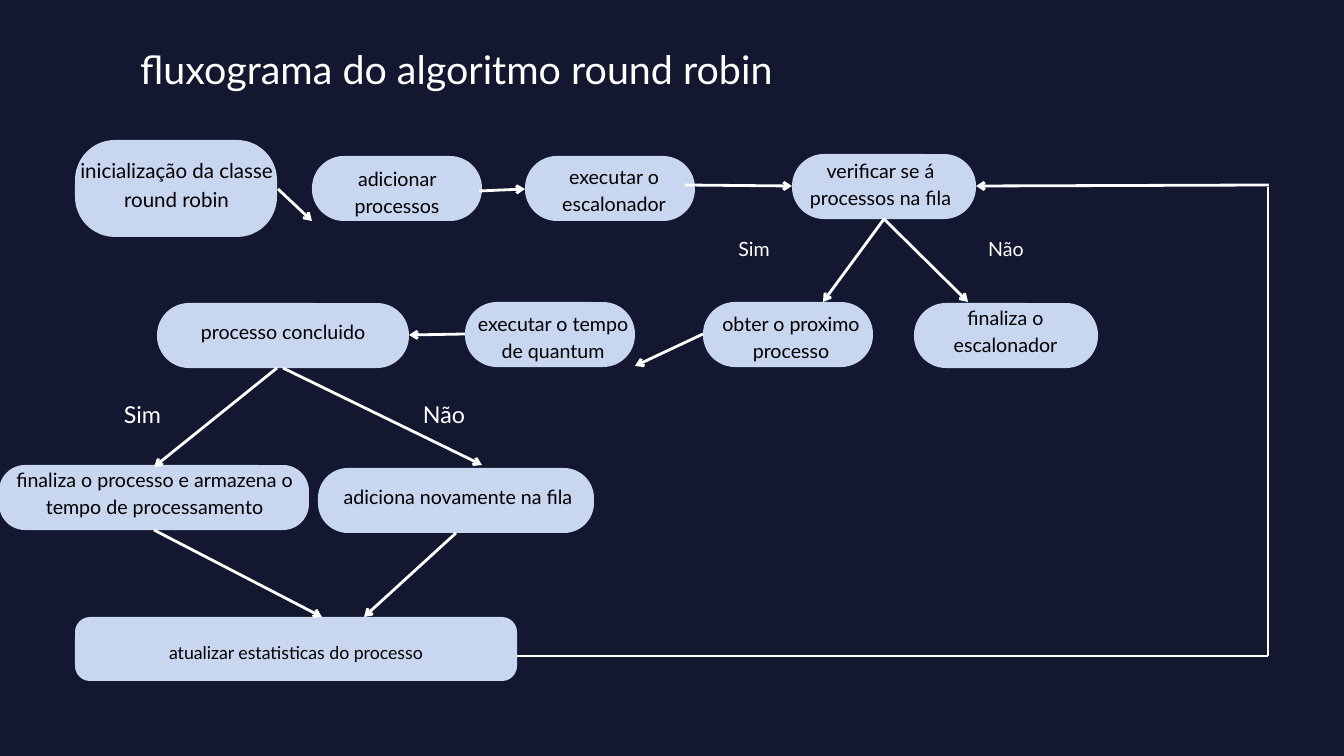
from pptx import Presentation
from pptx.dml.color import RGBColor
from pptx.enum.shapes import MSO_CONNECTOR as Connector, MSO_SHAPE as Shape
from pptx.enum.text import PP_ALIGN as Align
from pptx.oxml.ns import qn
from pptx.util import Pt
from lxml.etree import SubElement

SCALE = 914400 / 67.2
NAVY, PALE, WHITE, BLACK = "131830", "C9D6F0", "FFFFFF", "000000"
FONT = "Lato"
LEADING = 1.4

STEPS = [
    ("inicialização da classe round robin", (75, 140, 202, 97), 40, (79, 154, 195), 2, 22),
    ("adicionar processos", (312, 156, 170, 65), 32, (316, 163, 162), 2, 21),
    ("executar o escalonador", (525, 156, 170, 65), 32, (533, 161, 162), 2, 21),
    ("verificar se á processos na fila", (792, 154, 184, 65), 32, (792, 155, 177), 2, 21),
    ("obter o proximo processo", (703, 302, 170, 65), 32, (710, 308, 162), 2, 21),
    ("executar o tempo de quantum", (465, 302, 170, 65), 32, (472, 308, 162), 2, 21),
    ("processo concluido", (157, 303, 252, 65), 32, (161, 316, 244), 1, 21),
    ("adiciona novamente na fila", (318, 468, 276, 65), 30, (324, 481, 268), 1, 21),
    ("finaliza o processo e armazena o tempo de processamento",
     (-1, 465, 310, 65), 26, (3, 464, 303), 2, 21),
    ("finaliza o escalonador", (914, 303, 184, 65), 32, (917, 302, 177), 2, 21),
    ("atualizar estatisticas do processo", (75, 617, 442, 64), 15, (79, 638, 434), 1, 19),
]

LABELS = [
    ("fluxograma do algoritmo round robin", (89, 37, 735), 42.2),
    ("Sim", (737, 233, 34), 21),
    ("Não", (987, 233, 38), 21),
    ("Sim", (108, 396, 69), 24.9),
    ("Não", (405, 396, 78), 24.9),
]

RETURN_PATH = [
    ((517, 656), (1268, 656)),
    ((1268, 187), (1268, 656)),
]

ARROWS = [
    ((278, 189), (312, 221)),
    ((685, 185), (792, 186)),
    ((479, 191), (525, 189)),
    ((884, 219), (823, 302)),
    ((884, 219), (968, 302)),
    ((703, 334), (635, 366)),
    ((465, 334), (409, 335)),
    ((277, 368), (154, 467)),
    ((283, 368), (482, 465)),
    ((154, 530), (322, 617)),
    ((456, 533), (364, 617)),
    ((1269, 185), (976, 186)),
]


def px(*lengths):
    return [round(length * SCALE) for length in lengths]


def color(value):
    return RGBColor.from_string(value)


def apply(target, formats):
    for name, value in formats.items():
        setattr(target, name, value)


def add_text(shapes, text, place, size, ink, lines=1):
    height = lines * size * LEADING * 67.2 / 72
    frame = shapes.add_textbox(*px(*place, height)).text_frame
    apply(frame, {"word_wrap": True, "margin_left": 0, "margin_top": 0,
                  "margin_right": 0, "margin_bottom": 0})
    para = frame.paragraphs[0]
    apply(para, {"alignment": Align.CENTER, "line_spacing": Pt(size * LEADING)})
    span = para.add_run()
    span.text = text
    apply(span.font, {"name": FONT, "size": Pt(size)})
    span.font.color.rgb = color(ink)


def add_step(page, text, place, radius, text_place, lines, size):
    group = page.shapes.add_group_shape()
    box = group.shapes.add_shape(Shape.ROUNDED_RECTANGLE, *px(*place))
    box.adjustments[0] = radius / min(place[2:])
    box.shadow.inherit = False
    box.fill.solid()
    box.fill.fore_color.rgb = color(PALE)
    box.line.fill.background()
    add_text(group.shapes, text, text_place, size, BLACK, lines)


def add_line(page, start, end, arrow):
    line = page.shapes.add_connector(Connector.STRAIGHT, *px(*start, *end))
    line.line.width = Pt(3)
    line.line.color.rgb = color(WHITE)
    if arrow:
        SubElement(line.line._get_or_add_ln(), qn("a:tailEnd"), type="arrow")
    SubElement(line._element.spPr, qn("a:effectLst"))


def main():
    deck = Presentation()
    deck.slide_width, deck.slide_height = px(1344, 756)
    page = deck.slides.add_slide(deck.slide_layouts[6])
    page.background.fill.solid()
    page.background.fill.fore_color.rgb = color(NAVY)
    for step in STEPS:
        add_step(page, *step)
    for text, place, size in LABELS:
        add_text(page.shapes, text, place, size, WHITE)
    for lines, arrow in ((RETURN_PATH, False), (ARROWS, True)):
        for start, end in lines:
            add_line(page, start, end, arrow)
    deck.save("out.pptx")


if __name__ == "__main__":
    main()
